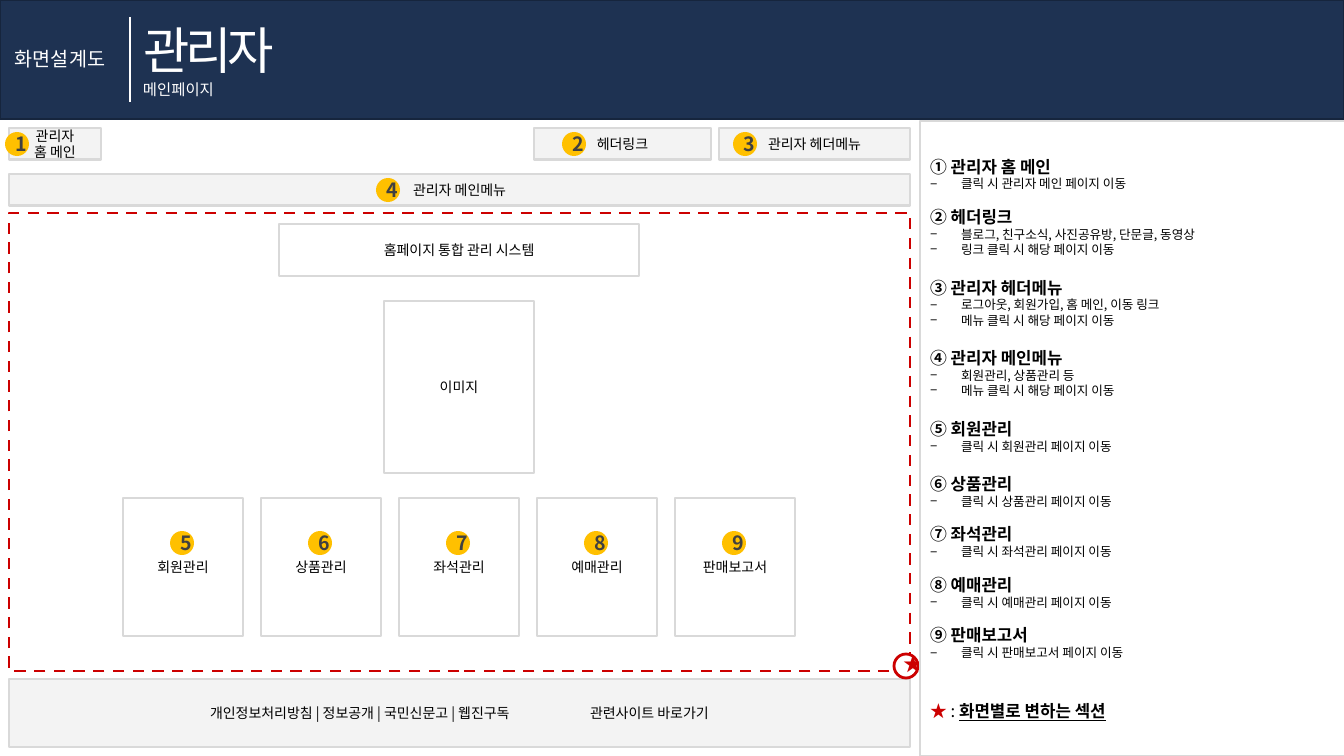
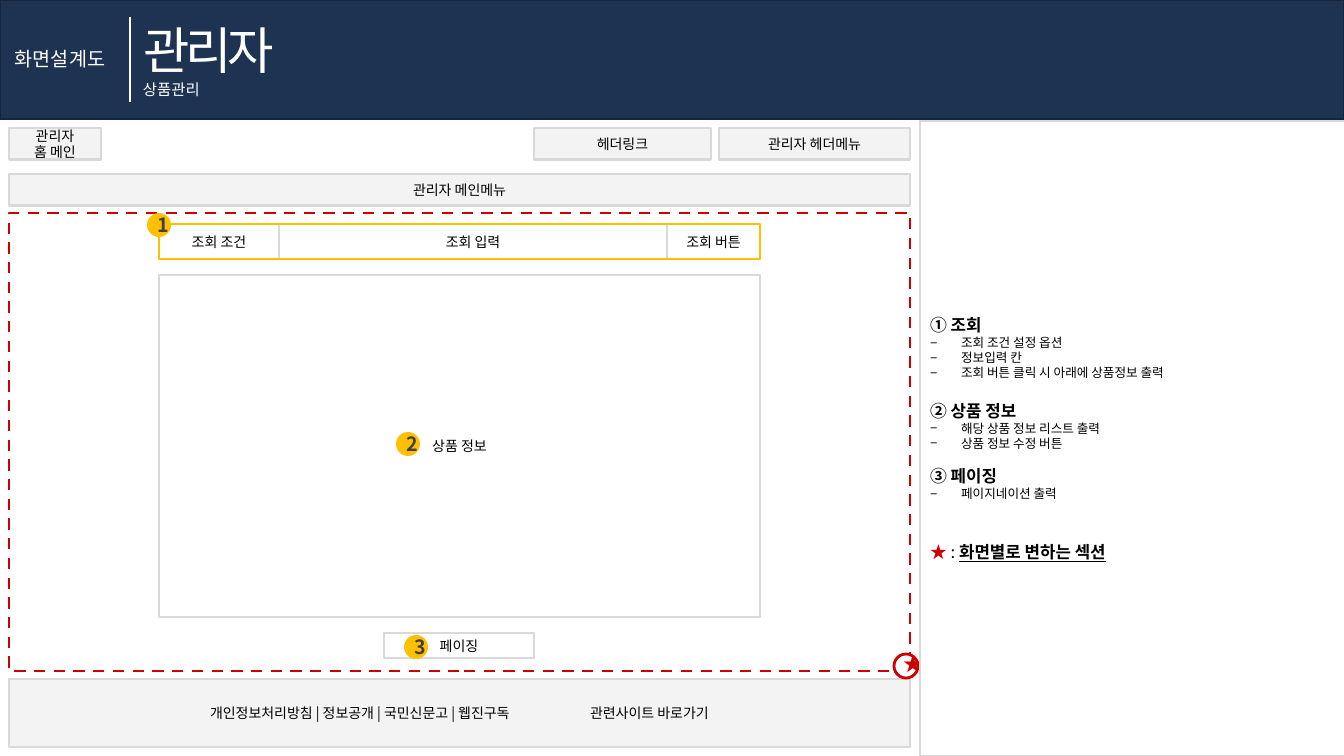
from lxml.etree import SubElement
from pptx import Presentation
from pptx.dml.color import RGBColor
from pptx.enum.dml import MSO_LINE
from pptx.enum.shapes import MSO_CONNECTOR, MSO_SHAPE
from pptx.enum.text import MSO_ANCHOR, MSO_AUTO_SIZE, PP_ALIGN
from pptx.oxml.ns import qn
from pptx.util import Pt

PX = 9071  # EMU per pixel, 100.8 pixels to the inch


class Theme:
    navy = RGBColor(0x1E, 0x32, 0x52)
    navy_edge = RGBColor(0x16, 0x25, 0x3D)
    white = RGBColor(0xFF, 0xFF, 0xFF)
    black = RGBColor(0, 0, 0)
    dark_gray = RGBColor(0x40, 0x40, 0x40)
    gray = RGBColor(0xD9, 0xD9, 0xD9)
    red = RGBColor(0xCC, 0, 0)
    amber = RGBColor(0xFF, 0xC0, 0)
    font = "Noto Sans CJK KR"
    subtitle_font = "Roboto"
    title_size = 36
    label_size = 14
    heading_size = 12
    subtitle_size = 11
    box_size = 10
    note_size = 9
    line_height = 1.2


def format_paragraph(paragraph, size, color, bold=False, align=PP_ALIGN.LEFT, font=Theme.font):
    paragraph.alignment = align
    paragraph.line_spacing = Pt(size * Theme.line_height)
    paragraph.font.name = font
    paragraph.font.size = Pt(size)
    paragraph.font.bold = bold
    paragraph.font.color.rgb = color
    default_run = paragraph._p.pPr.find(qn("a:defRPr"))
    SubElement(default_run, qn("a:ea"), typeface=Theme.font)


def add_box(shapes, bounds, text="", fill=Theme.white, line=Theme.gray, width=1, opacity=100,
            kind=MSO_SHAPE.RECTANGLE, size=Theme.box_size, color=Theme.black, bold=False):
    """Add a preset shape with centred text; bounds are pixels, opacity is a percentage."""
    shape = shapes.add_shape(kind, *[PX * length for length in bounds])
    shape.shadow.inherit = False
    if fill is None:
        shape.fill.background()
    else:
        shape.fill.solid()
        shape.fill.fore_color.rgb = fill
        if opacity < 100:
            fill_color = shape._element.spPr.find(".//" + qn("a:srgbClr"))
            SubElement(fill_color, qn("a:alpha"), val=str(opacity * 1000))
    if line is None:
        shape.line.fill.background()
    else:
        shape.line.color.rgb = line
        shape.line.width = Pt(width)
    if text:
        shape.text_frame.text = text
        for paragraph in shape.text_frame.paragraphs:
            format_paragraph(paragraph, size, color, bold, PP_ALIGN.CENTER)
    return shape


MENU_BOXES = [
    ((9, 174, 901, 32), "관리자 메인메뉴"),
    ((719, 128, 191, 32), "관리자 헤더메뉴"),
    ((534, 128, 177, 32), "헤더링크"),
    ((9, 128, 92, 32), "관리자\n홈 메인"),
]
CARDS = ["회원관리", "상품관리", "좌석관리", "예매관리", "판매보고서"]
CARD_STEP = 138

# Each section: blank height above in points, heading, notes
SCREENS = [
    {
        "subtitle": "메인페이지",
        "boxes": [
            ((384, 301, 150, 172), "이미지"),
            ((279, 224, 360, 52), "홈페이지 통합 관리 시스템"),
            *[((123 + CARD_STEP * index, 498, 120, 138), card) for index, card in enumerate(CARDS)],
        ],
        "frames": [],
        "badges": [(5, 132), (562, 132), (733, 132), (376, 178),
                   *[(170 + CARD_STEP * index, 531) for index in range(len(CARDS))]],
        "sections": [
            (0, "① 관리자 홈 메인", ["클릭 시 관리자 메인 페이지 이동"]),
            (9, "② 헤더링크", ["블로그, 친구소식, 사진공유방, 단문글, 동영상", "링크 클릭 시 해당 페이지 이동"]),
            (12, "③ 관리자 헤더메뉴", ["로그아웃, 회원가입, 홈 메인, 이동 링크", "메뉴 클릭 시 해당 페이지 이동"]),
            (12, "④ 관리자 메인메뉴", ["회원관리, 상품관리 등", "메뉴 클릭 시 해당 페이지 이동"]),
            (12, "⑤ 회원관리", ["클릭 시 회원관리 페이지 이동"]),
            (12, "⑥ 상품관리", ["클릭 시 상품관리 페이지 이동"]),
            (9, "⑦ 좌석관리", ["클릭 시 좌석관리 페이지 이동"]),
            (9, "⑧ 예매관리", ["클릭 시 예매관리 페이지 이동"]),
            (9, "⑨ 판매보고서", ["클릭 시 판매보고서 페이지 이동"]),
        ],
    },
    {
        "subtitle": "상품관리",
        "boxes": [
            ((159, 275, 601, 342), "상품 정보"),
            ((384, 633, 150, 25), "페이징"),
            ((279, 224, 388, 35), "조회 입력"),
            ((159, 224, 120, 35), "조회 조건"),
            ((667, 224, 93, 35), "조회 버튼"),
        ],
        "frames": [(159, 224, 601, 35)],
        "badges": [(147, 213), (396, 432), (404, 635)],
        "sections": [
            (0, "① 조회", ["조회 조건 설정 옵션", "정보입력 칸", "조회 버튼 클릭 시 아래에 상품정보 출력"]),
            (12, "② 상품 정보", ["해당 상품 정보 리스트 출력", "상품 정보 수정 버튼"]),
            (9, "③ 페이징", ["페이지네이션 출력"]),
        ],
    },
]

presentation = Presentation()
presentation.slide_width = 1344 * PX
presentation.slide_height = 756 * PX

for screen in SCREENS:
    slide = presentation.slides.add_slide(presentation.slide_layouts[1])
    shapes = slide.shapes

    # Header band
    add_box(shapes, (0, 0, 1344, 119), fill=Theme.navy, line=Theme.navy_edge)
    title = shapes.title
    title.left, title.top, title.width, title.height = [PX * length for length in (133, 14, 160, 72)]
    title.text_frame.text = "관리자"
    title.text_frame.word_wrap = False
    title.text_frame.auto_size = MSO_AUTO_SIZE.NONE
    title.text_frame.vertical_anchor = MSO_ANCHOR.TOP
    title_paragraph = title.text_frame.paragraphs[0]
    format_paragraph(title_paragraph, Theme.title_size, Theme.white)
    title_paragraph._p.pPr.find(qn("a:defRPr")).set("spc", "-300")
    shapes._spTree.append(title._element)

    header_labels = [
        ((5, 42, 119, 34), "화면설계도", Theme.label_size, Theme.font),
        ((133, 75, 98, 29), screen["subtitle"], Theme.subtitle_size, Theme.subtitle_font),
    ]
    for bounds, text, size, font in header_labels:
        label = shapes.add_textbox(*[PX * length for length in bounds])
        label.text_frame.text = text
        label.text_frame.word_wrap = False
        format_paragraph(label.text_frame.paragraphs[0], size, Theme.white, font=font)

    divider = shapes.add_connector(MSO_CONNECTOR.STRAIGHT, 130 * PX, 17 * PX, 130 * PX, 102 * PX)
    divider.line.color.rgb = Theme.white
    divider.line.width = Pt(1.5)
    SubElement(divider._element.spPr, qn("a:effectLst"))

    # Page frame
    for bounds, text in MENU_BOXES:
        add_box(shapes, bounds, text, fill=Theme.gray, width=2, opacity=30)
    footer = add_box(shapes, (9, 679, 901, 68), fill=Theme.gray, width=2, opacity=30)
    footer.text_frame.margin_left = 201 * PX
    footer.text_frame.text = "개인정보처리방침 | 정보공개 | 국민신문고 | 웹진구독\t관련사이트 바로가기"
    footer_paragraph = footer.text_frame.paragraphs[0]
    tabs = SubElement(footer_paragraph._p.get_or_add_pPr(), qn("a:tabLst"))
    SubElement(tabs, qn("a:tab"), pos=str(380 * PX), algn="l")
    format_paragraph(footer_paragraph, Theme.box_size, Theme.black)

    # Section that changes with the screen
    for bounds, text in screen["boxes"]:
        add_box(shapes, bounds, text)
    section = add_box(shapes, (9, 213, 901, 458), fill=None, line=Theme.red, width=2)
    section.line.dash_style = MSO_LINE.DASH
    for bounds in screen["frames"]:
        add_box(shapes, bounds, fill=None, line=Theme.amber, width=2)

    marker = shapes.add_group_shape()
    add_box(marker.shapes, (894, 654, 24, 24), line=Theme.red, width=2, kind=MSO_SHAPE.OVAL)
    star = marker.shapes.add_textbox(*[PX * length for length in (894, 647, 24, 34)])
    star.text_frame.text = "★"
    star.text_frame.word_wrap = True
    format_paragraph(star.text_frame.paragraphs[0], Theme.label_size, Theme.red, align=PP_ALIGN.CENTER)

    # Description panel
    panel = slide.placeholders[1]
    panel.left, panel.top, panel.width, panel.height = [PX * length for length in (920, 121, 425, 635)]
    panel.fill.solid()
    panel.fill.fore_color.rgb = Theme.white
    panel.line.color.rgb = Theme.gray
    panel.line.width = Pt(1)
    shapes._spTree.append(panel._element)
    description = panel.text_frame
    description.auto_size = MSO_AUTO_SIZE.NONE
    description.vertical_anchor = MSO_ANCHOR.MIDDLE

    entries = []
    for gap, heading, notes in screen["sections"]:
        entries.append((gap, heading, False))
        entries.extend((0, note, True) for note in notes)
    entries.append((24, "", False))
    for index, (gap, text, is_note) in enumerate(entries):
        paragraph = description.add_paragraph() if index else description.paragraphs[0]
        properties = paragraph._p.get_or_add_pPr()
        indent = 31 * PX if is_note else 0
        properties.set("marL", str(indent))
        properties.set("indent", str(-indent))
        if is_note:
            SubElement(properties, qn("a:buChar"), char="−")
        else:
            SubElement(properties, qn("a:buNone"))
        paragraph.space_before = Pt(gap * Theme.line_height)
        size = Theme.note_size if is_note else Theme.heading_size
        format_paragraph(paragraph, size, Theme.black, bold=not is_note)
        if text:
            paragraph.add_run().text = text

    legend = [("★ ", Theme.red, True, False), (": ", Theme.black, False, False),
              ("화면별로 변하는 섹션", Theme.black, True, True)]
    for text, color, bold, underline in legend:
        run = paragraph.add_run()
        run.text = text
        run.font.color.rgb = color
        run.font.bold = bold
        run.font.underline = underline

    # Numbered badges
    for number, (left, top) in enumerate(screen["badges"], start=1):
        add_box(shapes, (left, top, 24, 24), str(number), fill=Theme.amber, line=None,
                kind=MSO_SHAPE.OVAL, size=Theme.label_size, color=Theme.dark_gray, bold=True)

presentation.save("out.pptx")
